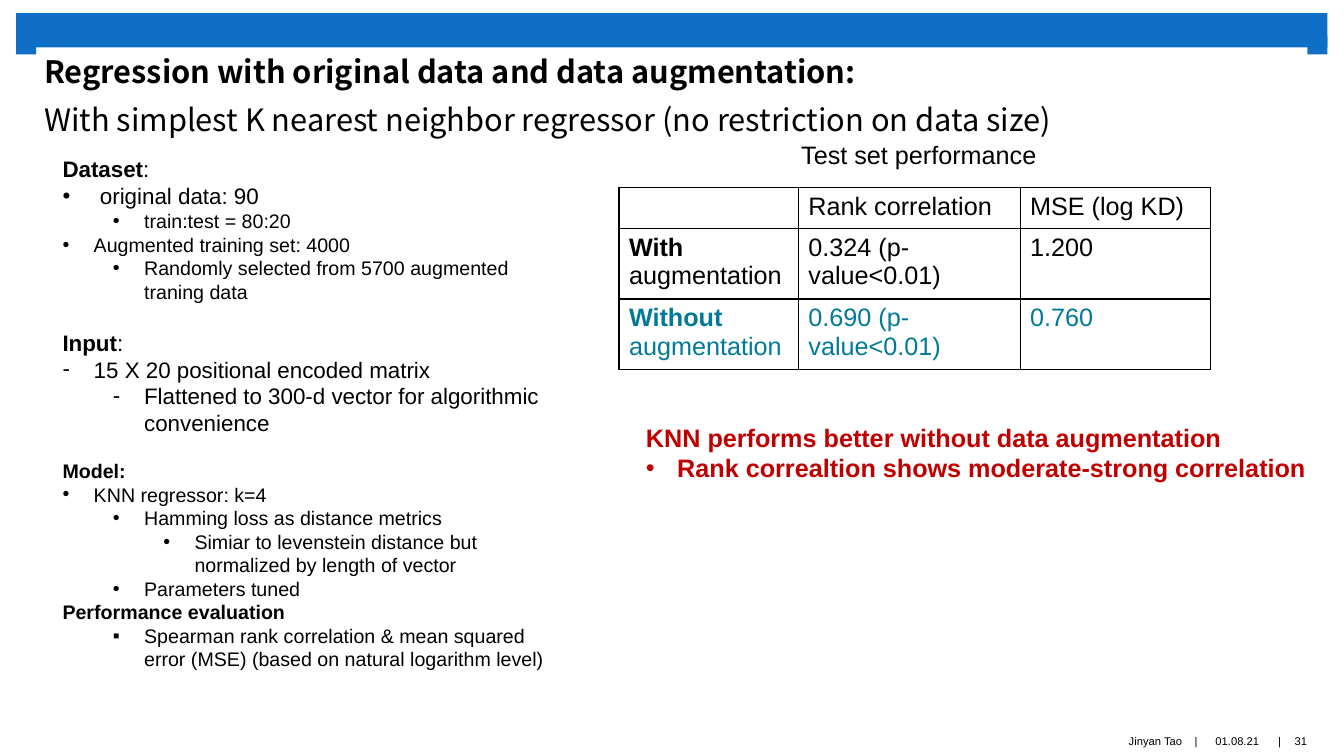
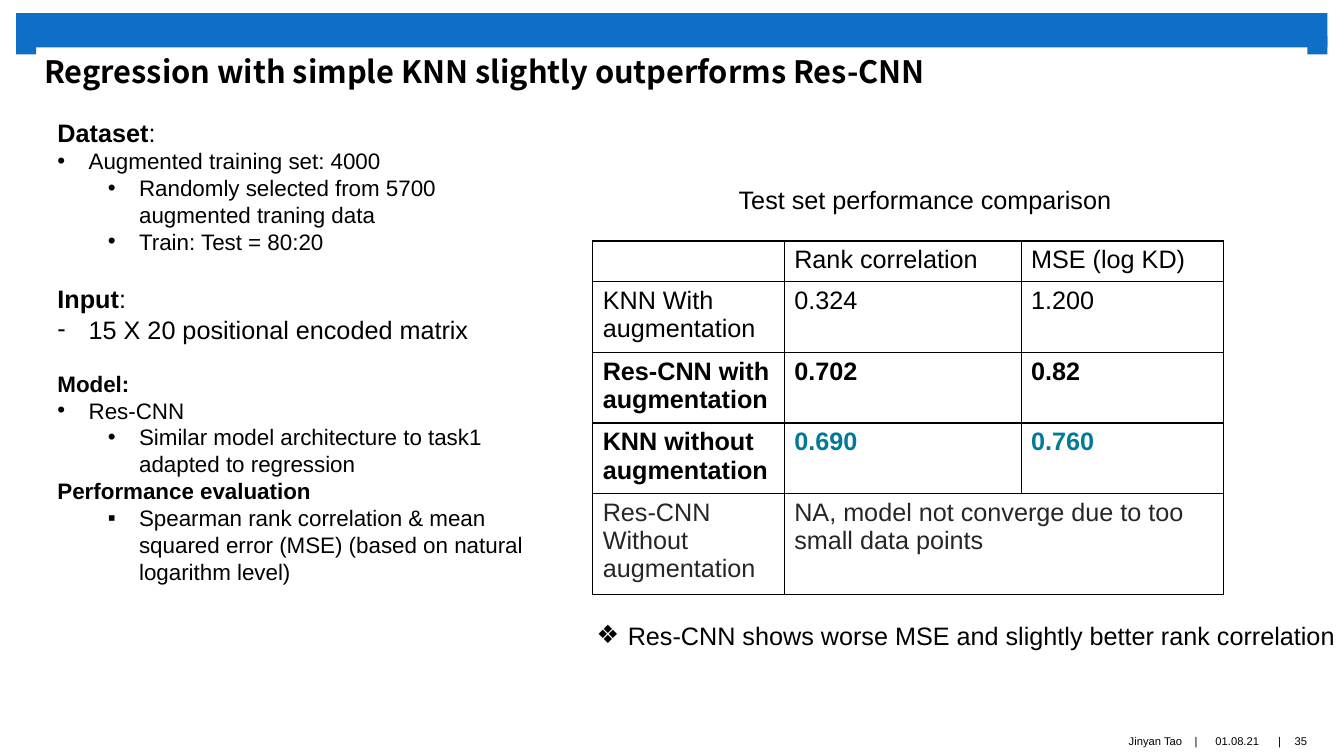
from lxml.etree import SubElement
from pptx import Presentation
from pptx.dml.color import RGBColor
from pptx.enum.shapes import MSO_SHAPE as Shape
from pptx.enum.text import MSO_ANCHOR as Anchor, MSO_AUTO_SIZE as AutoSize, PP_ALIGN as Align
from pptx.oxml import parse_xml
from pptx.oxml.ns import nsdecls, qn
from pptx.util import Inches, Pt

BLACK = RGBColor(0x00, 0x00, 0x00)
GREY = RGBColor(0x26, 0x26, 0x26)
BLUE = RGBColor(0x0F, 0x6F, 0xC6)
TEAL = RGBColor(0x00, 0x7A, 0x96)
RED = RGBColor(0xC0, 0x00, 0x00)
BODY_FONT = "Arial"
TITLE_FONT = "Noto Sans CJK SC"

# All positions are columns and rows of this square grid
GRID = Inches(0.1)
HANG, STEP = Inches(0.31), Inches(0.5)
LINE_HEIGHT = 1.15


def place_frame(shape, left, top, width, height, wrap=True, inset=None, anchor=Anchor.TOP):
    """Put a text shape on the grid and return its text frame."""
    shape.left, shape.top = int(left * GRID), int(top * GRID)
    shape.width, shape.height = int(width * GRID), int(height * GRID)
    frame = shape.text_frame
    frame.auto_size = AutoSize.NONE
    frame.word_wrap = wrap
    frame.vertical_anchor = anchor
    if inset is not None:
        frame.margin_left = frame.margin_right = inset
        frame.margin_top = frame.margin_bottom = inset
    return frame


def add_para(frame, text, tail="", size=18, bold=False, color=BLACK, font=BODY_FONT,
             bullet=None, level=0, gap=False, align=Align.LEFT, spacing=None):
    """Add a paragraph; tail follows text in regular weight, gap leaves one line above."""
    para = frame.paragraphs[0]
    if para.runs:
        para = frame.add_paragraph()
    para.level = level
    para.alignment = align
    para.space_before = Pt(size * LINE_HEIGHT if gap else 0)
    para.space_after = Pt(0)
    if spacing:
        para.line_spacing = spacing
    props = para._p.get_or_add_pPr()
    props.set("marL", str(HANG + level * STEP if bullet else 0))
    props.set("indent", str(-HANG if bullet else 0))
    if bullet:
        SubElement(props, qn("a:buFont")).set("typeface", BODY_FONT)
        SubElement(props, qn("a:buChar")).set("char", bullet)
    else:
        SubElement(props, qn("a:buNone"))
    for words, weight in ((text, bold), (tail, False)):
        if words:
            span = para.add_run()
            span.text = words
            span.font.name = font
            span.font.size = Pt(size)
            span.font.bold = weight
            span.font.color.rgb = color


DOT, DASH, SQUARE, DIAMOND = "•", "-", "▪", "❖"
HEADER = [("", {}), ("Rank correlation", {}), ("MSE (log KD)", {})]
EVALUATION = ("Spearman rank correlation & mean squared error (MSE) "
              "(based on natural logarithm level)")
SELECTION = "Randomly selected from 5700 augmented traning data"
STRONG = dict(bold=True)
STRONG_TEAL = dict(bold=True, color=TEAL)

PAGES = [
    dict(
        number="31",
        title=[("Regression with original data and data augmentation:", True),
               ("With simplest K nearest neighbor regressor (no restriction on data size)", False)],
        title_height=10.2,
        body_at=(5.2, 14.9, 50.1, 52.8),
        body=[
            ("Dataset", dict(tail=":", size=16, bold=True)),
            (" original data: 90", dict(size=16, bullet=DOT)),
            ("train:test = 80:20", dict(size=14, bullet=DOT, level=1)),
            ("Augmented training set: 4000", dict(size=14, bullet=DOT)),
            (SELECTION, dict(size=14, bullet=DOT, level=1)),
            ("Input", dict(tail=":", size=16, bold=True, gap=True)),
            ("15 X 20 positional encoded matrix", dict(size=16, bullet=DASH)),
            ("Flattened to 300-d vector for algorithmic convenience",
             dict(size=16, bullet=DASH, level=1)),
            ("Model:", dict(size=14, bold=True, gap=True)),
            ("KNN regressor: k=4", dict(size=14, bullet=DOT)),
            ("Hamming loss as distance metrics", dict(size=14, bullet=DOT, level=1)),
            ("Simiar to levenstein distance but normalized by length of vector",
             dict(size=14, bullet=DOT, level=2)),
            ("Parameters tuned", dict(size=14, bullet=DOT, level=1)),
            ("Performance evaluation", dict(size=14, bold=True)),
            (EVALUATION, dict(size=14, bullet=SQUARE, level=1)),
        ],
        caption=("Test set performance", (78.5, 13.3, 25.6, 4)),
        table_at=(61.4, 18.6),
        columns=(17.8, 22, 18.9),
        line_counts=(1, 2, 2),
        cells=[
            HEADER,
            [("With ", dict(tail="augmentation", bold=True)),
             ("0.324 (p-value<0.01)", {}), ("1.200", {})],
            [("Without ", dict(tail="augmentation", bold=True, color=TEAL)),
             ("0.690 (p-value<0.01)", dict(color=TEAL)), ("0.760", dict(color=TEAL))],
        ],
        finding_at=(63.1, 41.4, 68.8, 7.1),
        finding=[
            ("KNN performs better without data augmentation", dict(bold=True, color=RED)),
            ("Rank correaltion shows moderate-strong correlation",
             dict(bold=True, color=RED, bullet=DOT)),
        ],
    ),
    dict(
        number="35",
        title=[("Regression with simple KNN slightly outperforms Res-CNN", True)],
        title_height=5.4,
        body_at=(4.7, 11.1, 50.1, 48.1),
        body=[
            ("Dataset", dict(tail=":", bold=True)),
            ("Augmented training set: 4000", dict(size=16, bullet=DOT)),
            (SELECTION, dict(size=16, bullet=DOT, level=1)),
            ("Train: Test = 80:20", dict(size=16, bullet=DOT, level=1)),
            ("Input", dict(tail=":", bold=True, gap=True)),
            ("15 X 20 positional encoded matrix", dict(bullet=DASH)),
            ("Model:", dict(size=16, bold=True, gap=True)),
            ("Res-CNN", dict(size=16, bullet=DOT)),
            ("Similar model architecture to task1 adapted to regression",
             dict(size=16, bullet=DOT, level=1)),
            ("Performance evaluation", dict(size=16, bold=True)),
            (EVALUATION, dict(size=16, bullet=SQUARE, level=1)),
        ],
        caption=("Test set performance comparison", (72.3, 17.8, 39.3, 4)),
        table_at=(58.8, 23.9),
        columns=(19, 23.5, 20.1),
        line_counts=(1, 2, 2, 2, 3),
        cells=[
            HEADER,
            [("KNN With augmentation", {}), ("0.324", {}), ("1.200", {})],
            [("Res-CNN with augmentation", STRONG), ("0.702", STRONG), ("0.82", STRONG)],
            [("KNN without augmentation", STRONG), ("0.690", STRONG_TEAL), ("0.760", STRONG_TEAL)],
            [("Res-CNN Without augmentation", dict(color=GREY)),
             ("NA, model not converge due to too small data points", dict(color=GREY)), None],
        ],
        finding_at=(58.2, 61, 76, 4),
        finding=[("Res-CNN shows worse MSE and slightly better rank correlation",
                  dict(bullet=DIAMOND))],
    ),
]

BANDS = [(1.6, 1.3, 130.1, 3.4), (1.6, 3.6, 2, 1.8), (129.7, 3.6, 2, 1.8)]

deck = Presentation()
deck.slide_width, deck.slide_height = Inches(13.333), Inches(7.5)

for content in PAGES:
    page = deck.slides.add_slide(deck.slide_layouts[1])

    for band in BANDS:
        bar = page.shapes.add_shape(Shape.RECTANGLE, *(int(length * GRID) for length in band))
        bar.shadow.inherit = False
        bar.fill.solid()
        bar.fill.fore_color.rgb = BLUE
        bar.line.fill.background()

    footers = [
        ("Jinyan Tao", 66.6, 50.7, Align.RIGHT),
        ("|", 117.9, 1.5, Align.CENTER),
        ("01.08.21", 119.4, 6.7, Align.CENTER),
        ("|", 126.2, 1.5, Align.CENTER),
        (content["number"], 127.1, 3.9, Align.CENTER),
    ]
    for text, left, width, align in footers:
        frame = place_frame(page.shapes.add_textbox(0, 0, 0, 0), left, 72.1, width, 2.9,
                            inset=0, anchor=Anchor.MIDDLE)
        add_para(frame, text, size=8, align=align)

    frame = place_frame(page.shapes.title, 3.4, 3.6, 125, content["title_height"])
    for text, bold in content["title"]:
        add_para(frame, text, size=22, bold=bold, font=TITLE_FONT, spacing=1.3)

    frame = place_frame(page.placeholders[1], *content["body_at"])
    for text, style in content["body"]:
        add_para(frame, text, **style)

    caption, caption_at = content["caption"]
    add_para(place_frame(page.shapes.add_textbox(0, 0, 0, 0), *caption_at, wrap=False), caption)

    columns = content["columns"]
    heights = [1 + 3 * lines for lines in content["line_counts"]]
    left, top = content["table_at"]
    table = page.shapes.add_table(
        len(heights), len(columns), int(left * GRID), int(top * GRID),
        int(sum(columns) * GRID), int(sum(heights) * GRID)).table
    table.first_row = table.horz_banding = False
    for column, width in zip(table.columns, columns):
        column.width = int(width * GRID)
    for row, (height, entries) in enumerate(zip(heights, content["cells"])):
        table.rows[row].height = int(height * GRID)
        for col, entry in enumerate(entries):
            cell = table.cell(row, col)
            cell.fill.background()
            for position, side in enumerate(("lnL", "lnR", "lnT", "lnB")):
                cell._tc.get_or_add_tcPr().insert(position, parse_xml(
                    f'<a:{side} {nsdecls("a")} w="{Pt(1)}"><a:solidFill>'
                    f'<a:srgbClr val="{BLACK}"/></a:solidFill></a:{side}>'))
            if entry is None:
                table.cell(row, col - 1).merge(cell)
            else:
                text, style = entry
                add_para(cell.text_frame, text, **style)

    frame = place_frame(page.shapes.add_textbox(0, 0, 0, 0), *content["finding_at"], wrap=False)
    for text, style in content["finding"]:
        add_para(frame, text, **style)

deck.save("out.pptx")
